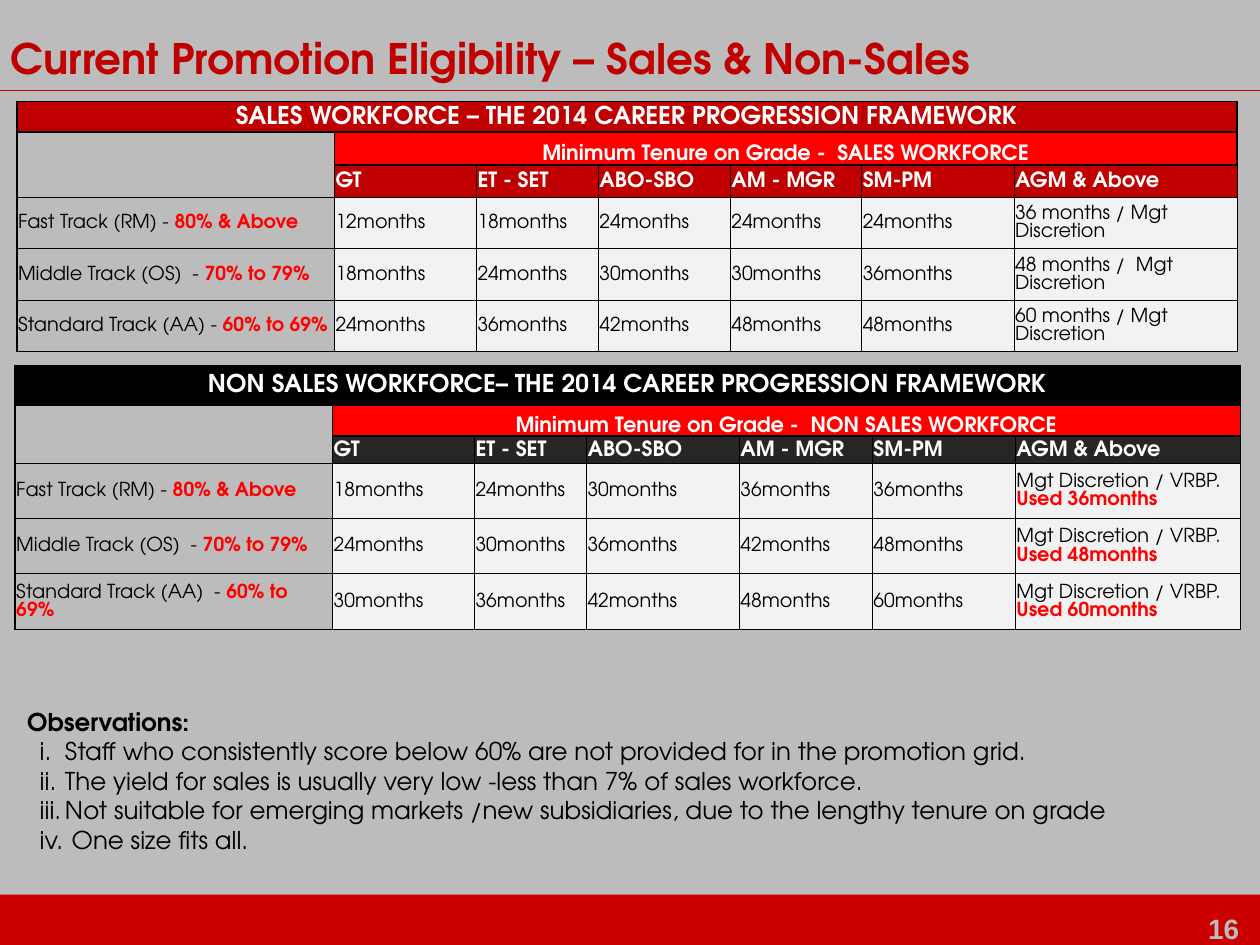
from dataclasses import dataclass

from lxml import etree
from pptx import Presentation
from pptx.dml.color import RGBColor
from pptx.enum.shapes import MSO_CONNECTOR, MSO_SHAPE
from pptx.enum.text import MSO_ANCHOR, MSO_AUTO_SIZE, PP_ALIGN
from pptx.oxml.ns import qn
from pptx.util import Pt

LEFT, CENTER = PP_ALIGN.LEFT, PP_ALIGN.CENTER
TOP, MIDDLE, BOTTOM = MSO_ANCHOR.TOP, MSO_ANCHOR.MIDDLE, MSO_ANCHOR.BOTTOM
NO_AUTOFIT = MSO_AUTO_SIZE.NONE
RECTANGLE, STRAIGHT = MSO_SHAPE.RECTANGLE, MSO_CONNECTOR.STRAIGHT


@dataclass(frozen=True)
class Theme:
    font: str = "TeX Gyre Adventor"
    number_font: str = "Arial"
    background: str = "BCBCBC"
    bar: str = "CC0000"
    crimson: str = "C00000"
    red: str = "FF0000"
    black: str = "000000"
    charcoal: str = "262626"
    white: str = "FFFFFF"
    pale: str = "F2F2F2"
    title_size: float = 24
    number_size: float = 16
    body_size: float = 14
    heading_size: float = 12
    cell_size: float = 11


THEME = Theme()


@dataclass(frozen=True)
class Piece:
    text: str
    size: float
    color: str = THEME.black
    bold: bool = False
    font: str = THEME.font


@dataclass(frozen=True)
class Edges:
    left: float = 0.5
    right: float = 0.5
    top: float = 0.5
    bottom: float = 0.5


THICK = Edges(1, 1, 1, 1)


@dataclass(frozen=True)
class Track:
    name: str
    score: str
    months: tuple[int, ...]
    senior: str
    senior_used: str = ""


@dataclass(frozen=True)
class Grid:
    left: float
    top: float
    columns: tuple[float, ...]
    rows: tuple[float, ...]
    banner: str
    tenure: str
    banner_fill: str
    grade_fill: str
    tracks: tuple[Track, ...]


GRADES = ("GT", "ET - SET", "ABO-SBO", "AM - MGR", "SM-PM", "AGM & Above")

SALES = Grid(
    9.6, 58, (181.5, 81.1, 69.7, 75.4, 75.1, 87.1, 127.6), (17.5, 18.8, 18.4) + (29.4,) * 3,
    "SALES WORKFORCE – THE 2014 CAREER PROGRESSION FRAMEWORK",
    "Minimum Tenure on Grade -  SALES WORKFORCE", THEME.crimson, THEME.crimson,
    (
        Track("Fast Track (RM) - ", "80% & Above", (12, 18, 24, 24, 24), "36 months / Mgt Discretion"),
        Track("Middle Track (OS)  - ", "70% to 79%", (18, 24, 30, 30, 36), "48 months /  Mgt Discretion"),
        Track("Standard Track (AA) - ", "60% to 69%", (24, 36, 42, 48, 48), "60 months / Mgt Discretion"),
    ),
)

VRBP = "Mgt Discretion / VRBP. "
NON_SALES = Grid(
    8.6, 208.8, (181.4, 81.1, 64, 87.4, 76, 81.7, 128.6), (22.6, 17.9, 15.4) + (31.6,) * 3,
    "NON SALES WORKFORCE– THE 2014 CAREER PROGRESSION FRAMEWORK",
    "Minimum Tenure on Grade -  NON SALES WORKFORCE", THEME.black, THEME.charcoal,
    (
        Track("Fast Track (RM) - ", "80% & Above", (18, 24, 30, 36, 36), VRBP, "Used 36months"),
        Track("Middle Track (OS)  - ", "70% to 79%", (24, 30, 36, 42, 48), VRBP, "Used 48months"),
        Track("Standard Track (AA)  - ", "60% to 69%", (30, 36, 42, 48, 60), VRBP, "Used 60months"),
    ),
)

OBSERVATIONS = (
    "Staff who consistently score below 60% are not provided for in the promotion grid.",
    "The yield for sales is usually very low -less than 7% of sales workforce.",
    "Not suitable for emerging markets /new subsidiaries, due to the lengthy tenure on grade",
    " One size fits all.",
)


def rgb(color: str) -> RGBColor:
    return RGBColor.from_string(color)


def write(paragraph, *pieces: Piece, align=LEFT, spacing: float = 1) -> None:
    paragraph.alignment = align
    paragraph.line_spacing = spacing
    paragraph.space_before = Pt(0)
    for piece in pieces:
        run = paragraph.add_run()
        run.text = piece.text
        run.font.name = piece.font
        run.font.size = Pt(piece.size)
        run.font.bold = piece.bold
        run.font.color.rgb = rgb(piece.color)


def place(shape, left: float, top: float, width: float, height: float, anchor):
    shape.left, shape.top, shape.width, shape.height = map(Pt, (left, top, width, height))
    frame = shape.text_frame
    frame.word_wrap = True
    frame.auto_size = NO_AUTOFIT
    frame.vertical_anchor = anchor
    return frame


def fill_cell(cell, *pieces: Piece, fill: str = "", edges: Edges = Edges(),
              align=LEFT, anchor=MIDDLE) -> None:
    cell.margin_left = cell.margin_right = cell.margin_top = Pt(0.7)
    cell.margin_bottom = Pt(0)
    cell.vertical_anchor = anchor
    properties = cell._tc.get_or_add_tcPr()
    for tag, width in (("a:lnL", edges.left), ("a:lnR", edges.right),
                       ("a:lnT", edges.top), ("a:lnB", edges.bottom)):
        line = etree.SubElement(properties, qn(tag), w=str(Pt(width)))
        if width:
            solid = etree.SubElement(line, qn("a:solidFill"))
            etree.SubElement(solid, qn("a:srgbClr"), val=THEME.black)
        else:
            etree.SubElement(line, qn("a:noFill"))
    if fill:
        cell.fill.solid()
        cell.fill.fore_color.rgb = rgb(fill)
    else:
        cell.fill.background()
    paragraph = cell.text_frame.paragraphs[0]
    write(paragraph, *pieces, align=align)
    if not pieces:
        etree.SubElement(paragraph._p, qn("a:endParaRPr"), sz=str(THEME.cell_size * 100))


def draw_grid(slide, grid: Grid) -> None:
    table = slide.shapes.add_table(
        len(grid.rows), len(grid.columns), Pt(grid.left), Pt(grid.top),
        Pt(sum(grid.columns)), Pt(sum(grid.rows))).table
    table.first_row = table.horz_banding = False
    for column, width in zip(table.columns, grid.columns):
        column.width = Pt(width)
    for row, height in zip(table.rows, grid.rows):
        row.height = Pt(height)

    last = len(grid.columns) - 1
    table.cell(0, 0).merge(table.cell(0, last))
    table.cell(1, 1).merge(table.cell(1, last))
    fill_cell(table.cell(0, 0), Piece(grid.banner, THEME.body_size, THEME.white, True),
              fill=grid.banner_fill, edges=THICK, align=CENTER)
    fill_cell(table.cell(1, 0), edges=Edges(1, 1, 1, 0))
    fill_cell(table.cell(1, 1), Piece(grid.tenure, THEME.heading_size, THEME.white, True),
              fill=THEME.red, edges=THICK, align=CENTER, anchor=BOTTOM)
    fill_cell(table.cell(2, 0), edges=Edges(left=1, top=0))
    for index, grade in enumerate(GRADES, 1):
        fill_cell(table.cell(2, index), Piece(grade, THEME.heading_size, THEME.white, True),
                  fill=grid.grade_fill, edges=Edges(top=1))

    size = THEME.cell_size
    for row, track in enumerate(grid.tracks, 3):
        fill_cell(table.cell(row, 0), Piece(track.name, size),
                  Piece(track.score, size, THEME.red, True), edges=Edges(left=1))
        for index, months in enumerate(track.months, 1):
            fill_cell(table.cell(row, index), Piece(f"{months}months", size), fill=THEME.pale)
        senior = [Piece(track.senior, size)]
        if track.senior_used:
            senior.append(Piece(track.senior_used, size, THEME.red, True))
        fill_cell(table.cell(row, last), *senior, fill=THEME.pale)


def draw_frame(slide) -> None:
    bar = slide.shapes.add_shape(RECTANGLE, Pt(0), Pt(511.2), Pt(720), Pt(28.8))
    bar.shadow.inherit = False
    bar.fill.solid()
    bar.fill.fore_color.rgb = rgb(THEME.bar)
    bar.line.fill.background()
    number = slide.shapes.add_textbox(0, 0, 0, 0)
    write(place(number, 683.3, 517.3, 52.5, 26.6, MIDDLE).paragraphs[0],
          Piece("16", THEME.number_size, THEME.background, True, THEME.number_font))
    rule = slide.shapes.add_connector(STRAIGHT, Pt(0), Pt(51.8), Pt(720), Pt(51.8))
    rule.line.color.rgb = rgb(THEME.bar)
    rule.line.width = Pt(0.75)
    etree.SubElement(rule._element.spPr, qn("a:effectLst"))


def draw_observations(body) -> None:
    frame = place(body, 8.3, 400.3, 697.7, 92.2, TOP)
    heading = frame.paragraphs[0]
    write(heading, Piece("Observations:", THEME.body_size, bold=True))
    paragraphs = [heading] + [frame.add_paragraph() for _ in OBSERVATIONS]
    for index, paragraph in enumerate(paragraphs):
        properties = paragraph._p.get_or_add_pPr()
        properties.set("marL", str(Pt(21.6 if index else 0)))
        properties.set("indent", str(Pt(-14.4 if index else 0)))
        if index:
            paragraph.level = 1
            write(paragraph, Piece(OBSERVATIONS[index - 1], THEME.body_size))
            etree.SubElement(properties, qn("a:buFont"), typeface=THEME.font)
            etree.SubElement(properties, qn("a:buAutoNum"), type="romanLcPeriod")
        else:
            etree.SubElement(properties, qn("a:buNone"))


def main() -> None:
    deck = Presentation()
    deck.slide_width, deck.slide_height = Pt(720), Pt(540)
    slide = deck.slides.add_slide(deck.slide_layouts[1])
    slide.background.fill.solid()
    slide.background.fill.fore_color.rgb = rgb(THEME.background)
    draw_frame(slide)
    title = place(slide.shapes.title, -1, 19.4, 621.4, 31.7, MIDDLE)
    write(title.paragraphs[0], Piece("Current Promotion Eligibility – Sales & Non-Sales",
                                     THEME.title_size, THEME.crimson, True), spacing=0.85)
    for grid in (SALES, NON_SALES):
        draw_grid(slide, grid)
    draw_observations(slide.placeholders[1])
    deck.save("out.pptx")


if __name__ == "__main__":
    main()
